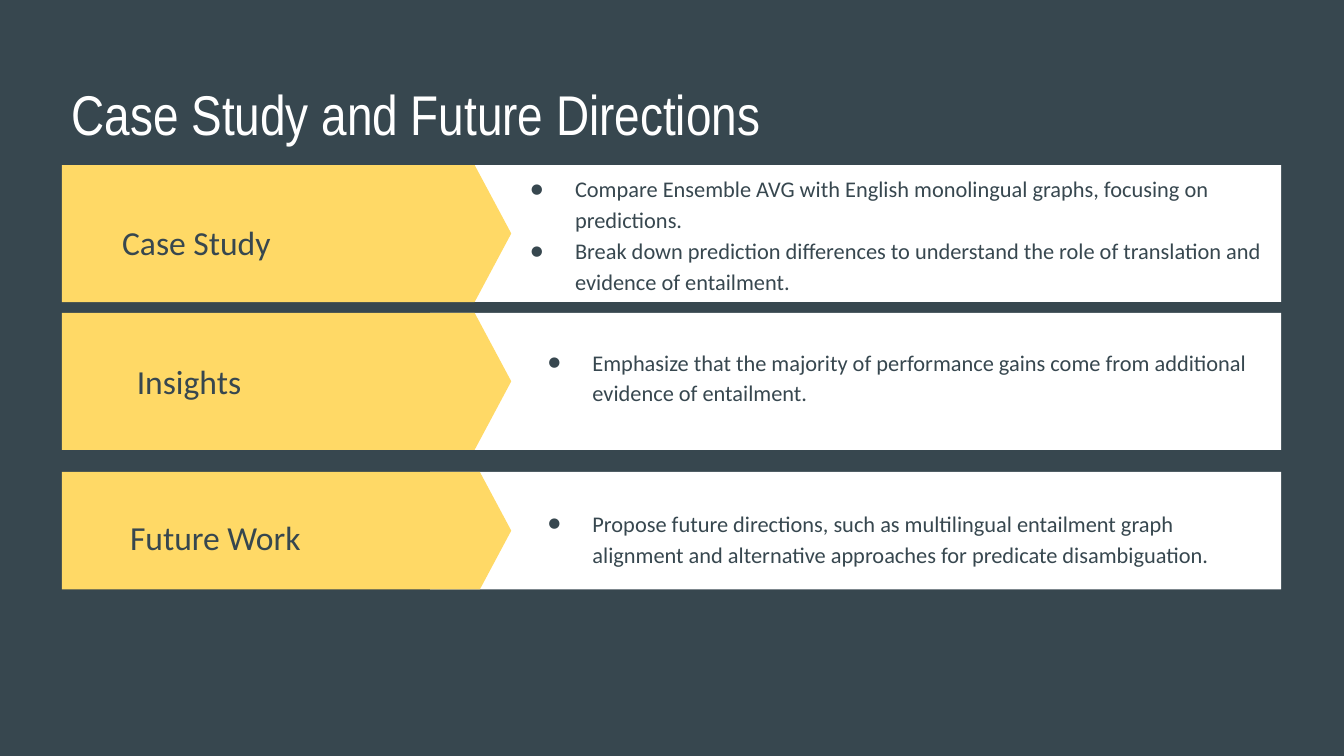
"""Build the "Case Study and Future Directions" slide."""
from dataclasses import dataclass

from lxml.etree import SubElement
from pptx import Presentation
from pptx.dml.color import RGBColor
from pptx.enum.shapes import MSO_SHAPE
from pptx.enum.text import MSO_ANCHOR
from pptx.oxml.ns import qn
from pptx.util import Pt


@dataclass(frozen=True)
class Theme:
    slate: RGBColor = RGBColor.from_string("37474F")
    white: RGBColor = RGBColor.from_string("FFFFFF")
    yellow: RGBColor = RGBColor.from_string("FFD966")
    title_font: str = "Arial Narrow"
    body_font: str = "Calibri"
    title_size: float = 30
    label_size: float = 18
    detail_size: float = 12


class SlideBuilder:
    def __init__(self, slide, theme):
        self.slide = slide
        self.theme = theme

    def background(self):
        fill = self.slide.background.fill
        fill.solid()
        fill.fore_color.rgb = self.theme.slate

    def block(self, group, preset, box, color):
        block = group.shapes.add_shape(preset, *map(Pt, box))
        block.shadow.inherit = False
        block.fill.solid()
        block.fill.fore_color.rgb = color
        block.line.fill.background()
        return block

    def banner(self, top, height):
        group = self.slide.shapes.add_group_shape()
        self.block(group, MSO_SHAPE.RECTANGLE, (230.4, top, 456, height), self.theme.white)
        arrow = self.block(group, MSO_SHAPE.PENTAGON, (33.2, top, 240.7, height), self.theme.yellow)
        arrow.adjustments[0] = 0.267

    def text(self, lines, box, font, size, color, anchor=MSO_ANCHOR.MIDDLE):
        frame = self.slide.shapes.add_textbox(*map(Pt, box)).text_frame
        frame.word_wrap = True
        frame.vertical_anchor = anchor
        frame.margin_left = frame.margin_right = Pt(7.2)
        frame.margin_top = frame.margin_bottom = Pt(7.2)
        frame.text = "\n".join(lines)
        for paragraph in frame.paragraphs:
            for run in paragraph.runs:
                run.font.name = font
                run.font.size = Pt(size)
                run.font.color.rgb = color
        return frame

    def title(self, wording, box):
        theme = self.theme
        self.text([wording], box, theme.title_font, theme.title_size, theme.white, MSO_ANCHOR.TOP)

    def label(self, wording, box):
        theme = self.theme
        self.text([wording], box, theme.body_font, theme.label_size, theme.slate)

    def bullets(self, lines, box):
        theme = self.theme
        frame = self.text(lines, box, theme.body_font, theme.detail_size, theme.slate)
        for paragraph in frame.paragraphs:
            paragraph.line_spacing = 1.15
            properties = paragraph._p.get_or_add_pPr()
            properties.set("marL", str(Pt(36)))
            properties.set("indent", str(Pt(-24)))
            bullet_color = SubElement(properties, qn("a:buClr"))
            SubElement(bullet_color, qn("a:srgbClr"), val=str(theme.slate))
            SubElement(properties, qn("a:buFont"), typeface=theme.body_font)
            SubElement(properties, qn("a:buChar"), char="●")


def main():
    presentation = Presentation()
    presentation.slide_width = Pt(720)
    presentation.slide_height = Pt(405)
    slide = presentation.slides.add_slide(presentation.slide_layouts[6])
    builder = SlideBuilder(slide, Theme())
    builder.background()
    builder.title(" Case Study and Future Directions", (24.5, 35.3, 671, 45.4))

    text_height = 62.6
    sections = [
        ((88.4, 73.4), "Case Study", (58.3, 98.6), (265, 93.6, 419.8), [
            "Compare Ensemble AVG with English monolingual graphs, focusing on predictions.",
            "Break down prediction differences to understand the role of translation "
            "and evidence of entailment.",
        ]),
        ((167.6, 73.4), "Insights", (66.2, 172.8), (274.3, 169.9, 402.5), [
            "Emphasize that the majority of performance gains come from additional "
            "evidence of entailment.",
        ]),
        ((252.8, 63), "Future Work", (62.6, 256.3), (274.3, 256.3, 402.5), [
            "Propose future directions, such as multilingual entailment graph alignment "
            "and alternative approaches for predicate disambiguation.",
        ]),
    ]
    for band, heading, heading_corner, detail_place, details in sections:
        builder.banner(*band)
        builder.label(heading, (*heading_corner, 190.8, text_height))
        builder.bullets(details, (*detail_place, text_height))

    presentation.save("out.pptx")


if __name__ == "__main__":
    main()
